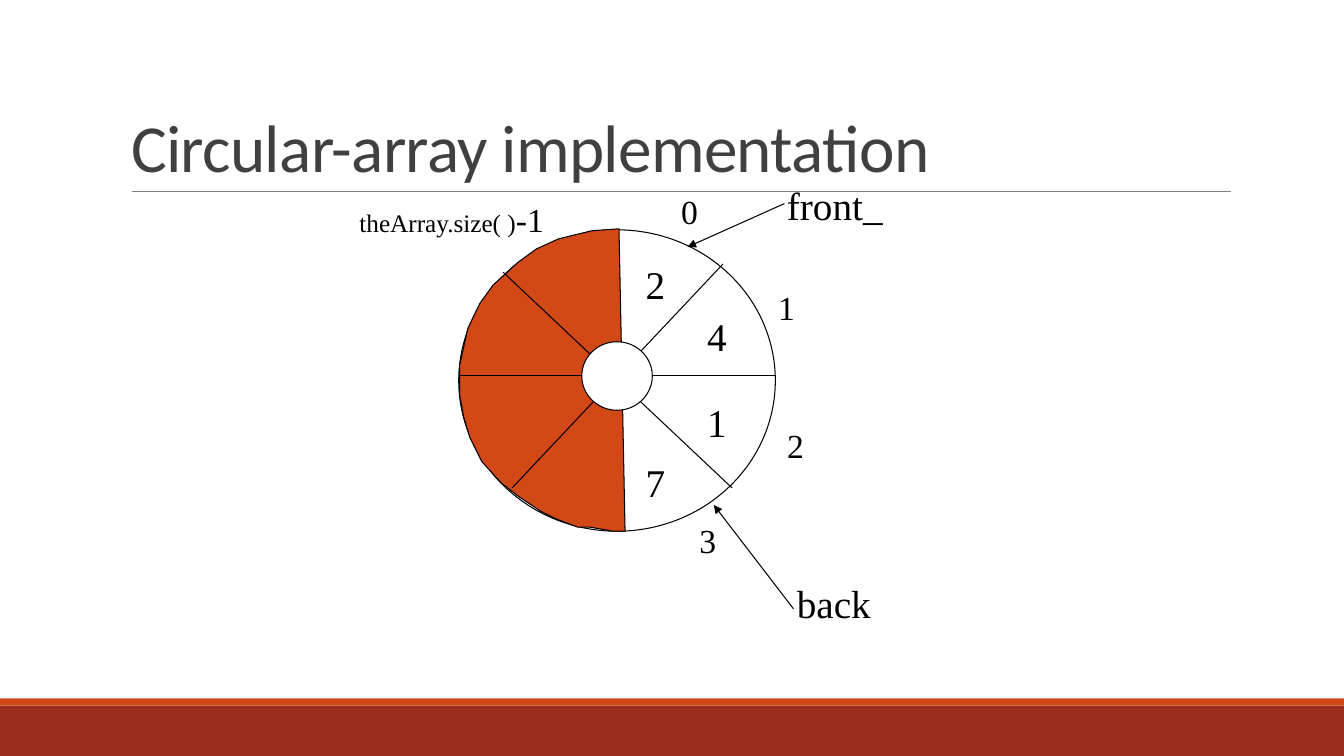
from lxml.etree import SubElement
from pptx import Presentation
from pptx.dml.color import RGBColor
from pptx.enum.shapes import MSO_CONNECTOR, MSO_SHAPE
from pptx.enum.text import MSO_ANCHOR, MSO_AUTO_SIZE, PP_ALIGN
from pptx.oxml.ns import qn
from pptx.util import Pt

PX = 9144
WIDTH, HEIGHT = 1333, 750
BLACK = RGBColor(0x00, 0x00, 0x00)
WHITE = RGBColor(0xFF, 0xFF, 0xFF)
ORANGE = RGBColor(0xD3, 0x48, 0x17)
DARK_RED = RGBColor(0x9B, 0x2D, 0x1F)
GREY = RGBColor(0x80, 0x80, 0x80)
CHARCOAL = RGBColor(0x40, 0x40, 0x40)

USED_HALF = [
    (159, 0), (132, 2), (99, 10), (77, 20), (58, 34), (34, 56), (21, 74), (9, 99),
    (1, 135), (1, 165), (5, 187), (11, 207), (23, 231), (42, 252), (60, 266),
    (81, 280), (97, 288), (118, 296), (130, 296), (153, 300), (165, 300),
]
SPOKES = [(0, 146, 315, 146), (262, 35, 53, 257), (44, 43, 271, 257)]
VALUES = [("2", 195, 55), ("4", 256, 107), ("1", 256, 192), ("7", 195, 252)]
INDEXES = [("0", 229, -17), ("1", 325, 78), ("2", 334, 215), ("3", 247, 309)]
POINTERS = [
    ("front_", 373, -23, 116, (323, -25, 227, 18)),
    ("back", 372, 372, 98, (332, 377, 253, 274)),
]


def paint(shape, fill, outline=None):
    """Give a shape a flat fill and an optional thin outline."""
    shape.shadow.inherit = False
    shape.fill.solid()
    shape.fill.fore_color.rgb = fill
    if outline is None:
        shape.line.fill.background()
    else:
        shape.line.color.rgb = outline
        shape.line.width = Pt(0.75)


def add_preset(slide, preset, left, top, width, height, fill, outline=None):
    """Add a painted preset shape."""
    shape = slide.shapes.add_shape(preset, left * PX, top * PX, width * PX, height * PX)
    paint(shape, fill, outline)


def add_line(slide, x1, y1, x2, y2, color=BLACK, weight=0.75, arrow=False):
    """Add a straight line, with an arrowhead at its end if asked."""
    line = slide.shapes.add_connector(MSO_CONNECTOR.STRAIGHT, x1 * PX, y1 * PX, x2 * PX, y2 * PX)
    line.line.color.rgb = color
    line.line.width = Pt(weight)
    if arrow:
        SubElement(line.line._get_or_add_ln(), qn("a:tailEnd"), type="triangle")
    SubElement(line._element.spPr, qn("a:effectLst"))


def add_label(slide, runs, center_x, center_y, width, height):
    """Add centred text, given as (text, size) runs, around a point."""
    label = slide.shapes.add_textbox(
        round((center_x - width / 2) * PX), round((center_y - height / 2) * PX),
        width * PX, height * PX)
    frame = label.text_frame
    frame.word_wrap = False
    frame.auto_size = MSO_AUTO_SIZE.SHAPE_TO_FIT_TEXT
    paragraph = frame.paragraphs[0]
    paragraph.alignment = PP_ALIGN.CENTER
    paragraph.font.name = "Times New Roman"
    paragraph.font.color.rgb = BLACK
    for text, size in runs:
        run = paragraph.add_run()
        run.text = text
        run.font.size = Pt(size)


def add_title(slide, left, top, width, height):
    """Place the title with the rule along its bottom edge."""
    title = slide.shapes.title
    title.left, title.top, title.width, title.height = (
        length * PX for length in (left, top, width, height))
    frame = title.text_frame
    frame.text = "Circular-array implementation"
    frame.vertical_anchor = MSO_ANCHOR.BOTTOM
    frame.auto_size = MSO_AUTO_SIZE.NONE
    frame.word_wrap = True
    paragraph = frame.paragraphs[0]
    paragraph.alignment = PP_ALIGN.LEFT
    paragraph.line_spacing = 0.85
    paragraph.font.name = "Calibri"
    paragraph.font.size = Pt(48)
    paragraph.font.color.rgb = CHARCOAL
    paragraph.runs[0].font._element.set("spc", "-50")
    bottom = top + height
    add_line(slide, left + 11, bottom, left + width + 1, bottom, GREY, 0.5)


def add_footer(slide, top, width, height):
    """Draw the footer band with its thin accent on top."""
    accent = 7
    add_preset(slide, MSO_SHAPE.RECTANGLE, 0, top + accent, width, height - accent, DARK_RED)
    add_preset(slide, MSO_SHAPE.RECTANGLE, 0, top, width, accent, ORANGE)


def add_wheel(slide, left, top):
    """Draw the circular array with its slots, values and free half."""
    add_preset(slide, MSO_SHAPE.OVAL, left, top + 1, 314, 299, WHITE, BLACK)
    outline = [(left + x, top + y) for x, y in USED_HALF]
    builder = slide.shapes.build_freeform(*outline[0], scale=PX)
    builder.add_line_segments(outline[1:], close=True)
    paint(builder.convert_to_shape(), ORANGE, BLACK)
    for x1, y1, x2, y2 in SPOKES:
        add_line(slide, left + x1, top + y1, left + x2, top + y2)
    add_preset(slide, MSO_SHAPE.OVAL, left + 122, top + 112, 70, 68, WHITE, BLACK)
    for value, x, y in VALUES:
        add_label(slide, [(value, 28)], left + x, top + y, 41, 58)


def add_annotations(slide, left, top):
    """Add the indexes and the front and back pointers around the wheel."""
    for index, x, y in INDEXES:
        add_label(slide, [(index, 24)], left + x, top + y, 39, 51)
    add_label(slide, [("theArray.size( )", 18), ("-1", 24)], left - 7, top - 9, 215, 51)
    for name, x, y, width, (x1, y1, x2, y2) in POINTERS:
        add_label(slide, [(name, 28)], left + x, top + y, width, 58)
        add_line(slide, left + x1, top + y1, left + x2, top + y2, arrow=True)


def main():
    """Build and save the slide."""
    deck = Presentation()
    deck.slide_width, deck.slide_height = WIDTH * PX, HEIGHT * PX
    slide = deck.slides.add_slide(deck.slide_layouts[5])
    add_footer(slide, 693, WIDTH, HEIGHT - 693)
    add_title(slide, 120, 31, 1100, 159)
    add_wheel(slide, 455, 227)
    add_annotations(slide, 455, 227)
    deck.save("out.pptx")


if __name__ == "__main__":
    main()
